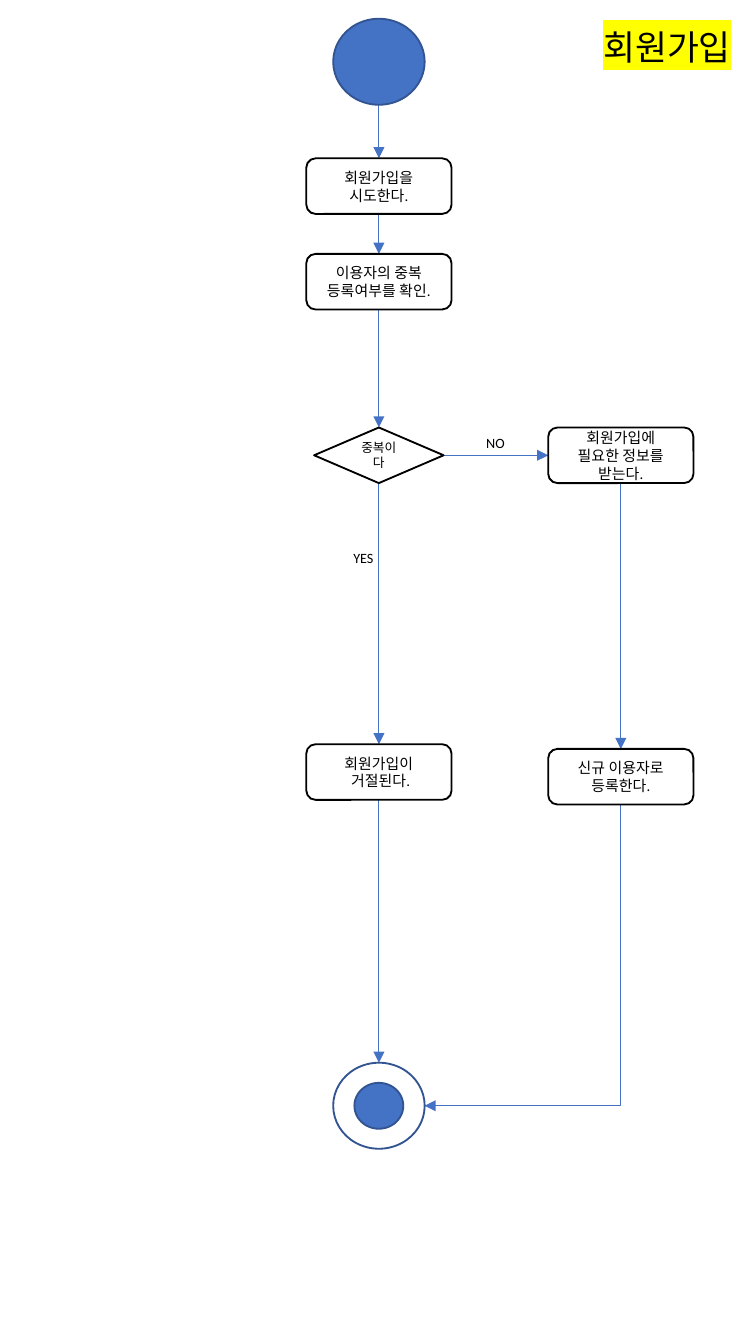
from lxml.etree import SubElement
from pptx import Presentation
from pptx.dml.color import RGBColor
from pptx.enum.shapes import MSO_CONNECTOR, MSO_SHAPE
from pptx.enum.text import MSO_ANCHOR, MSO_AUTO_SIZE, PP_ALIGN
from pptx.oxml.ns import qn
from pptx.util import Pt

BLACK = RGBColor(0x00, 0x00, 0x00)
WHITE = RGBColor(0xFF, 0xFF, 0xFF)
BLUE = RGBColor(0x44, 0x72, 0xC4)
NAVY = RGBColor(0x32, 0x54, 0x91)
YELLOW = RGBColor(0xFF, 0xFF, 0x00)

MAIN_X, SIDE_X = 203, 332.6  # centres of the two columns
BOX_W, BOX_H = 77.8, 29.8
NODE_W, NODE_H = 66, 46


def write(tf, text, size=8, align=PP_ALIGN.CENTER, highlight=None, font="Calibri"):
    """Fill a text frame, one paragraph per line of text."""
    for i, line in enumerate(text.split("\n")):
        p = tf.paragraphs[0] if i == 0 else tf.add_paragraph()
        p.alignment = align
        r = p.add_run()
        r.text = line
        r.font.size = Pt(size)
        r.font.color.rgb = BLACK
        r.font.name = font
        if highlight is not None:
            rPr = r.font._element
            mark = SubElement(rPr, qn("a:highlight"))
            SubElement(mark, qn("a:srgbClr"), val=str(highlight))
            rPr.find(qn("a:solidFill")).addnext(mark)


class FlowChart:
    """Draws activity diagram elements on one slide."""

    def __init__(self, slide):
        """Keep the slide to draw on."""
        self.shapes = slide.shapes

    def shape(self, kind, cx, top, w, h, fill=WHITE, line=BLACK):
        """Add a preset shape centred on cx."""
        sp = self.shapes.add_shape(kind, Pt(cx - w / 2), Pt(top), Pt(w), Pt(h))
        sp.shadow.inherit = False
        sp.fill.solid()
        sp.fill.fore_color.rgb = fill
        sp.line.color.rgb = line
        sp.line.width = Pt(1)
        return sp

    def step(self, cx, top, text, kind=MSO_SHAPE.ROUNDED_RECTANGLE, w=BOX_W, size=8):
        """Add an action or decision with its text."""
        tf = self.shape(kind, cx, top, w, BOX_H).text_frame
        tf.word_wrap = True
        tf.vertical_anchor = MSO_ANCHOR.MIDDLE
        write(tf, text, size=size)

    def node(self, top, fill, scale=1.0):
        """Add a start or end circle in the main column."""
        self.shape(MSO_SHAPE.OVAL, MAIN_X, top, NODE_W * scale * 0.74 if scale < 1 else NODE_W,
                   NODE_H * scale if scale < 1 else NODE_H, fill, NAVY)

    def circle(self, cy, fill, w=49, h=46.1):
        """Add a start or end circle centred in the main column."""
        self.shape(MSO_SHAPE.OVAL, MAIN_X, cy - h / 2, w, h, fill, NAVY)

    def label(self, left, top, w, h, text, size=7.6, highlight=None):
        """Add a free-standing line of text."""
        tf = self.shapes.add_textbox(Pt(left), Pt(top), Pt(w), Pt(h)).text_frame
        tf.word_wrap = False
        tf.auto_size = MSO_AUTO_SIZE.SHAPE_TO_FIT_TEXT
        write(tf, text, size=size, align=PP_ALIGN.LEFT, highlight=highlight)

    def arrow(self, x1, y1, x2, y2, kind=MSO_CONNECTOR.STRAIGHT):
        """Add a thin arrow."""
        cn = self.shapes.add_connector(kind, Pt(x1), Pt(y1), Pt(x2), Pt(y2))
        cn.line.color.rgb = BLUE
        cn.line.width = Pt(0.5)
        SubElement(cn.line._get_or_add_ln(), qn("a:tailEnd"), type="triangle")
        SubElement(cn._element.spPr, qn("a:effectLst"))
        return cn

    def corner_arrow(self, x1, y1, x2, y2):
        """Add an arrow that runs down from the start, then left to the end."""
        cx, cy = (x1 + x2) / 2, (y1 + y2) / 2
        dx, dy = (y2 - y1) / 2, (x1 - x2) / 2  # swapped by the quarter turn
        cn = self.arrow(cx - dx, cy - dy, cx + dx, cy + dy, MSO_CONNECTOR.ELBOW)
        spPr = cn._element.spPr
        spPr.find(qn("a:xfrm")).set("rot", "5400000")
        spPr.find(qn("a:prstGeom")).set("prst", "bentConnector2")


# Vertical positions of the steps
START_Y, END_Y = 33.1, 592.4
TRY, CHECK, DECIDE, REJECT, REGISTER = 84.8, 136, 229, 398.7, 401.2
RADIUS_X, RADIUS_Y = 24.5, 23.05
DIAMOND_W = 69.4

prs = Presentation()
prs.slide_width, prs.slide_height = Pt(405), Pt(720)
chart = FlowChart(prs.slides.add_slide(prs.slide_layouts[6]))

main_stops = [(START_Y - RADIUS_Y, START_Y + RADIUS_Y)]
main_stops += [(top, top + BOX_H) for top in (TRY, CHECK, DECIDE, REJECT)]
main_stops += [(END_Y - RADIUS_Y, END_Y + RADIUS_Y)]
for (_, bottom), (top, _) in zip(main_stops, main_stops[1:]):
    chart.arrow(MAIN_X, bottom, MAIN_X, top)
chart.arrow(MAIN_X + DIAMOND_W / 2, DECIDE + BOX_H / 2,
            SIDE_X - BOX_W / 2, DECIDE + BOX_H / 2)
chart.arrow(SIDE_X, DECIDE + BOX_H, SIDE_X, REGISTER)
chart.corner_arrow(SIDE_X, REGISTER + BOX_H, MAIN_X + RADIUS_X, END_Y)

chart.step(MAIN_X, DECIDE, "중복이다", MSO_SHAPE.DIAMOND, DIAMOND_W, 6.8)
for cx, top, text in [
    (MAIN_X, TRY, "회원가입을 시도한다."),
    (MAIN_X, CHECK, "이용자의 중복 등록여부를 확인."),
    (SIDE_X, DECIDE, "회원가입에 필요한 정보를 받는다."),
    (SIDE_X, REGISTER, "신규 이용자로 등록한다."),
    (MAIN_X, REJECT, "회원가입이\n 거절된다."),
]:
    chart.step(cx, top, text)

chart.circle(START_Y, BLUE)
chart.circle(END_Y, WHITE)
chart.circle(END_Y, BLUE, 26.2, 24.6)

chart.label(253.4, 229, 24.5, 16.6, "NO")
chart.label(182.2, 290.9, 26.6, 16.6, "YES")
chart.label(316.1, 10.1, 89.3, 29.5, "회원가입", size=18.6, highlight=YELLOW)

prs.save("out.pptx")
